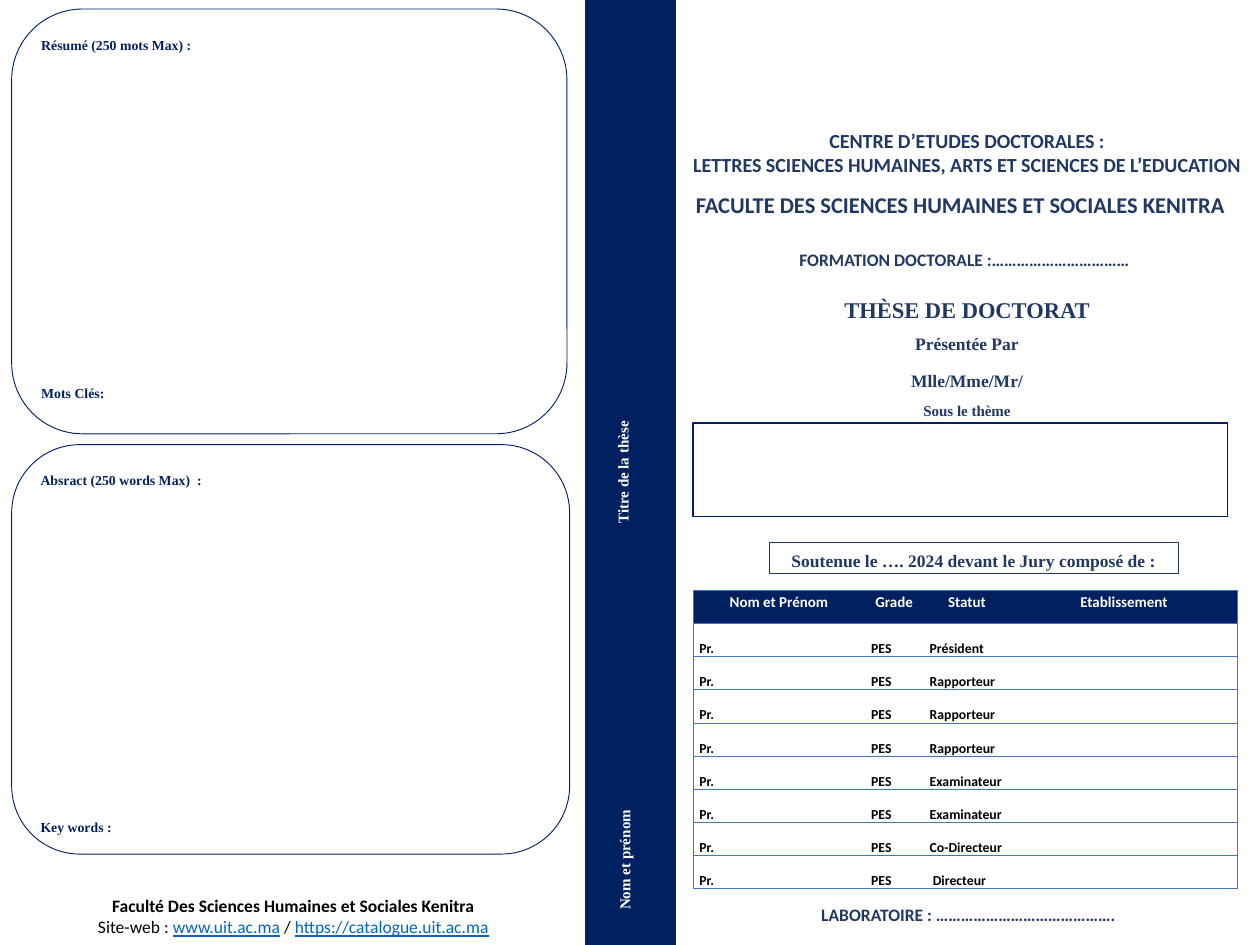
from lxml import etree
from pptx import Presentation
from pptx.dml.color import RGBColor
from pptx.enum import shapes, text
from pptx.oxml import ns
from pptx.util import Inches, Pt

NAVY = RGBColor(0x00, 0x20, 0x60)
INK = RGBColor(0x20, 0x38, 0x64)
BLUE = RGBColor(0x44, 0x72, 0xC4)
LINK = RGBColor(0x05, 0x63, 0xC1)
BLACK = RGBColor(0, 0, 0)
WHITE = RGBColor(255, 255, 255)
SANS, SERIF = "Calibri", "Times New Roman"
MID, LEFT = text.PP_ALIGN.CENTER, text.PP_ALIGN.LEFT
RECT = shapes.MSO_SHAPE.RECTANGLE
ROUND = shapes.MSO_SHAPE.ROUNDED_RECTANGLE
PLAIN = "{2D5ABB26-0587-4C30-8999-92F81FD0307C}"  # table style without grid


def write(para, words, size=14, face=SANS, color=INK, bold=True, under=False,
          align=MID, lead=None, before=0, after=0):
    """Add one formatted run and set the format of its paragraph."""
    para.alignment = align
    para.space_before, para.space_after = Pt(before), Pt(after)
    if lead:
        para.line_spacing = lead
    run = para.add_run()
    run.text = words
    font = run.font
    font.size, font.name = Pt(size), face
    font.bold, font.underline = bold, under
    font.color.rgb = color


def edge(cell, sides):
    """Draw thin blue borders on the sides named by letters."""
    props = cell._tc.get_or_add_tcPr()
    for side in sides:
        line = etree.SubElement(props, ns.qn(f"a:ln{side}"), w=str(Pt(0.5)))
        fill = etree.SubElement(line, ns.qn("a:solidFill"))
        etree.SubElement(fill, ns.qn("a:srgbClr"), val=str(BLUE))


class Cover:
    def __init__(self, slide):
        self.slide = slide

    def fill(self, frame, lines):
        """Put (words, format) pairs in a frame, one paragraph each."""
        frame.word_wrap = True
        frame.vertical_anchor = text.MSO_ANCHOR.TOP
        for i, (words, form) in enumerate(lines):
            para = frame.add_paragraph() if i else frame.paragraphs[0]
            write(para, words, **form)

    def label(self, box, *lines, turn=False):
        frame = self.slide.shapes.add_textbox(*map(Inches, box)).text_frame
        self.fill(frame, lines)
        if turn:
            frame._txBody.bodyPr.set("vert", "vert270")
        return frame

    def panel(self, box, *lines, kind=RECT, line=NAVY, width=0.75, fill=None):
        shape = self.slide.shapes.add_shape(kind, *map(Inches, box))
        shape.shadow.inherit = False
        if fill is None:
            shape.fill.background()
        else:
            shape.fill.solid()
            shape.fill.fore_color.rgb = fill
        shape.line.color.rgb, shape.line.width = line, Pt(width)
        self.fill(shape.text_frame, lines)

    def table(self, box, widths, head, rows):
        frame = self.slide.shapes.add_table(
            len(rows) + 1, len(head), *map(Inches, box))
        frame._element.graphic.graphicData.tbl.tblPr.find(
            ns.qn("a:tableStyleId")).text = PLAIN
        grid = frame.table
        grid.horz_banding = grid.first_row = False
        for col, width in zip(grid.columns, widths):
            col.width = Inches(width)
        for r, row in enumerate([head, *rows]):
            grid.rows[r].height = Inches(0.36 if r else 0.37)
            for c, words in enumerate(row):
                cell = grid.cell(r, c)
                cell.margin_left = cell.margin_right = Inches(0.07)
                cell.margin_top = cell.margin_bottom = 0
                first, last = c == 0, c == len(head) - 1
                edge(cell, "L" * first + "R" * last + "TB")
                para = cell.text_frame.paragraphs[0]
                if r:
                    cell.fill.background()
                    if words:
                        write(para, words, size=11, color=BLACK, align=LEFT,
                              lead=2.0, after=10)
                else:
                    cell.fill.solid()
                    cell.fill.fore_color.rgb = NAVY
                    write(para, words, size=12, color=WHITE, lead=1.15,
                          after=10)


def main():
    deck = Presentation()
    deck.slide_width, deck.slide_height = Inches(14), Inches(10.5)
    cover = Cover(deck.slides.add_slide(deck.slide_layouts[6]))

    # Spine
    cover.panel((6.51, -0.02, 0.99, 10.52), fill=NAVY)
    spine = dict(size=12, face=SERIF, color=WHITE, lead=1.15, after=10)
    cover.label((6.76, 8.64, 0.5, 1.83), ("Nom et prénom", spine), turn=True)
    cover.label((6.74, 2.25, 0.52, 6), ("Titre de la thèse", spine), turn=True)

    # Back
    note = dict(size=11, face=SERIF, color=NAVY, align=LEFT, lead=1.15)
    for box, top, end in (
            ((0.13, 0.1, 6.17, 4.72), "Résumé (250 mots Max) :", "Mots Clés:"),
            ((0.13, 4.94, 6.2, 4.55), "Absract (250 words Max)  :",
             "Key words :")):
        cover.panel(box, (top, note), (end, dict(note, before=263)),
                    kind=ROUND)
    plain = dict(color=BLACK, bold=False)
    foot = cover.label(
        (0.18, 9.9, 6.16, 0.57),
        ("Faculté Des Sciences Humaines et Sociales Kenitra",
         dict(color=BLACK)),
        ("Site-web : ", plain))
    link = dict(color=LINK, bold=False, under=True)
    for words, form in (("www.uit.ac.ma", link), (" / ", plain),
                        ("https://catalogue.uit.ac.ma", link)):
        write(foot.paragraphs[1], words, **form)

    # Front
    cover.label(
        (7.49, 1.38, 6.51, 0.64),
        ("CENTRE D’ETUDES DOCTORALES :", dict(size=16)),
        ("LETTRES SCIENCES HUMAINES, ARTS ET SCIENCES DE L’EDUCATION",
         dict(size=16)))
    cover.label((7.46, 2.07, 6.42, 0.4),
                ("FACULTE DES SCIENCES HUMAINES ET SOCIALES KENITRA",
                 dict(size=18)))
    cover.label((7.46, 2.72, 6.51, 0.34),
                ("FORMATION DOCTORALE :……………………………", {}))
    serif = dict(face=SERIF, lead=1.15, after=6)
    cover.label((7.49, 3.19, 6.51, 1.42),
                ("THÈSE DE DOCTORAT", dict(serif, size=18)),
                ("Présentée Par", dict(serif, after=10)),
                ("Mlle/Mme/Mr/", serif),
                ("Sous le thème", dict(serif, size=12)))
    cover.panel((7.7, 4.7, 5.94, 1.04), width=1)
    cover.panel((8.55, 6.03, 4.54, 0.34),
                ("Soutenue le …. 2024 devant le Jury composé de :",
                 dict(serif, after=10)), line=INK)
    roles = ["Président", *["Rapporteur"] * 3, *["Examinateur"] * 2,
             "Co-Directeur", " Directeur"]
    cover.table((7.7, 6.56, 6.06, 3.25), (1.91, 0.65, 0.97, 2.52),
                ("Nom et Prénom", "Grade", "Statut", "Etablissement"),
                [("Pr.", "PES", role, "") for role in roles])
    cover.label((7.55, 9.99, 6.42, 0.34),
                ("LABORATOIRE : …………………………………….", {}))
    deck.save("out.pptx")


if __name__ == "__main__":
    main()
